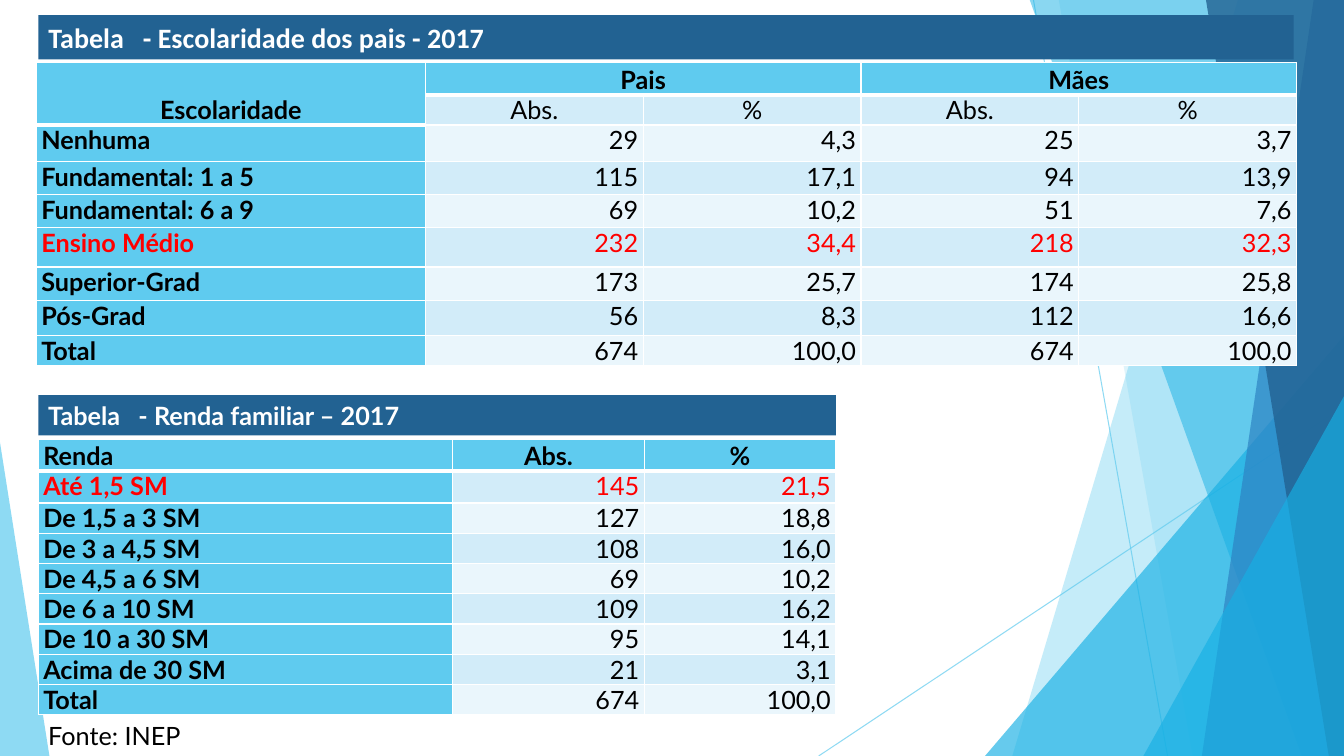
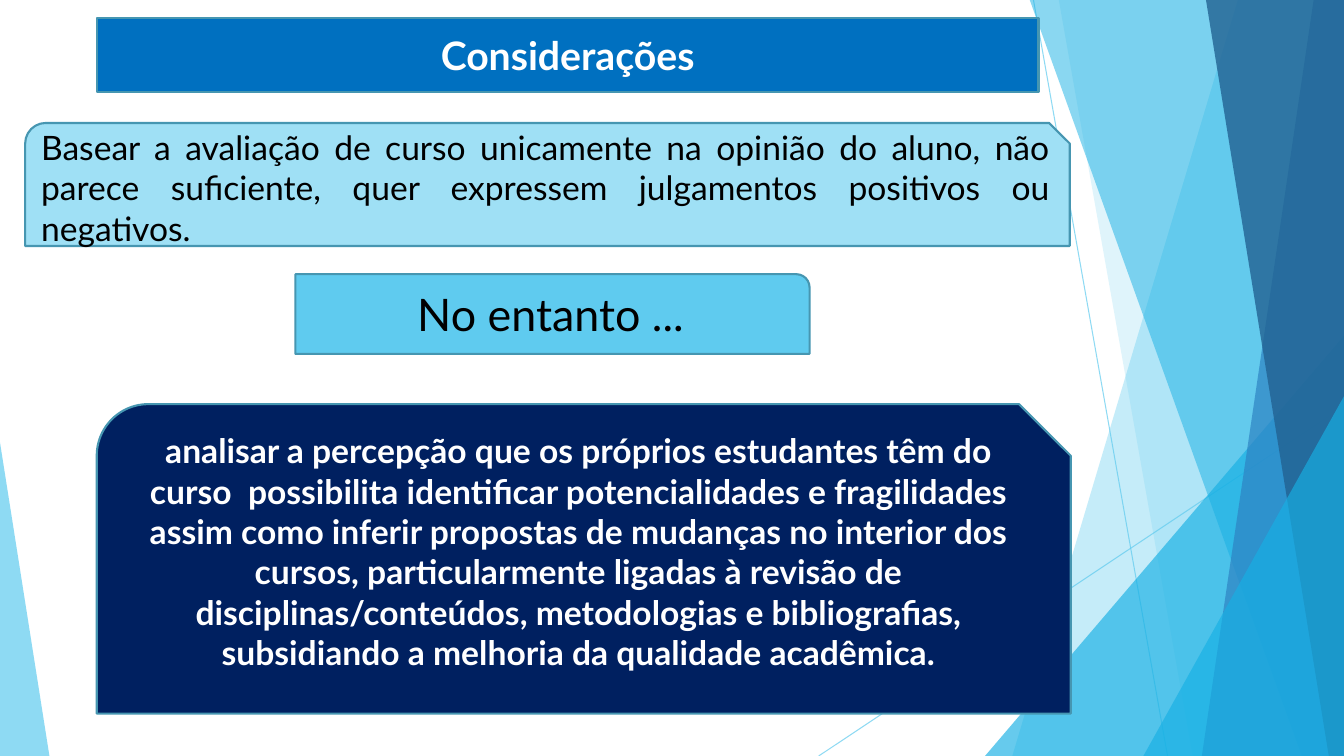
from dataclasses import dataclass

from lxml.etree import SubElement
from pptx import Presentation
from pptx.dml.color import RGBColor
from pptx.enum.shapes import MSO_CONNECTOR, MSO_SHAPE
from pptx.enum.text import MSO_ANCHOR, MSO_AUTO_SIZE, PP_ALIGN
from pptx.oxml import parse_xml
from pptx.oxml.ns import nsdecls, qn
from pptx.util import Inches, Pt

WHITE = RGBColor(0xFF, 0xFF, 0xFF)
BLACK = RGBColor(0x00, 0x00, 0x00)
RED = RGBColor(0xFF, 0x00, 0x00)
SKY = RGBColor(0x5F, 0xCB, 0xEF)
PALE_SKY = RGBColor(0x9F, 0xE0, 0xF5)
CYAN = RGBColor(0x17, 0xB0, 0xE4)
BLUE = RGBColor(0x2E, 0x83, 0xC3)
STEEL = RGBColor(0x22, 0x62, 0x92)
ROYAL = RGBColor(0x00, 0x70, 0xC0)
NAVY = RGBColor(0x00, 0x20, 0x60)
OUTLINE = RGBColor(0x46, 0x96, 0xB1)
ODD_BAND = RGBColor(0xD2, 0xEC, 0xF9)
EVEN_BAND = RGBColor(0xEA, 0xF6, 0xFC)

WIDTH, HEIGHT = 13.33, 7.5
LEFT, CENTER, RIGHT, JUSTIFY = (
    PP_ALIGN.LEFT, PP_ALIGN.CENTER, PP_ALIGN.RIGHT, PP_ALIGN.JUSTIFY)


@dataclass(frozen=True)
class Ray:
    """Thin line across the backdrop."""
    x1: float
    y1: float
    x2: float
    y2: float


@dataclass(frozen=True)
class Panel:
    """Full-height facet that reaches the right edge."""
    top_x: float
    bottom_x: float
    color: RGBColor
    opacity: int


@dataclass(frozen=True)
class Wedge:
    """Right triangle standing on the bottom edge."""
    left: float
    top: float
    width: float
    apex: int
    color: RGBColor
    opacity: int


@dataclass(frozen=True)
class Style:
    """Look of a piece of text."""
    size: int = 18
    color: RGBColor = BLACK
    bold: bool = False
    align: PP_ALIGN = LEFT
    anchor: MSO_ANCHOR = MSO_ANCHOR.MIDDLE
    font: str = "Lato"


@dataclass(frozen=True)
class Box:
    """Filled block of text."""
    at: tuple[float, float, float, float]
    text: str
    style: Style
    fill: RGBColor | None = None
    outline: RGBColor | None = None
    outline_form: MSO_SHAPE = MSO_SHAPE.RECTANGLE
    bottom_inset: float = 0.05


@dataclass(frozen=True)
class Grid:
    """Table with banded rows and a bright label column."""
    left: float
    top: float
    columns: list[float]
    heights: list[float]
    rows: list[list[str]]
    highlight: str
    corner_align: PP_ALIGN
    header_rows: int = 1
    merges: tuple[tuple[int, int, int, int], ...] = ()


BACKDROP = [
    Ray(10.25, 0, 11.58, HEIGHT),
    Ray(WIDTH, 4.03, 8.12, HEIGHT),
    Panel(12.28, 10.04, SKY, 36),
    Panel(10.5, 11.83, SKY, 20),
    Wedge(9.77, 3.33, 3.56, 1, CYAN, 66),
    Panel(10.21, 12.91, CYAN, 50),
    Panel(13.03, 11.92, BLUE, 70),
    Panel(11.96, 13.18, STEEL, 80),
    Wedge(11.34, 3.93, 1.99, 1, CYAN, 66),
    Wedge(0, 4.39, 0.49, 0, SKY, 70),
]

SCHOOLING_TITLE = Box(
    (0.38, 0.15, 12.45, 0.44), "Tabela   - Escolaridade dos pais - 2017",
    Style(20, WHITE, True, font="Calibri"), STEEL)
SCHOOLING = Grid(
    0.36, 0.62, [3.86] + [2.16] * 4,
    [0.32, 0.27, 0.36, 0.33, 0.33, 0.39, 0.33, 0.35, 0.26],
    [
        ["Escolaridade", "Pais", "", "Mães", ""],
        ["", "Abs.", "%", "Abs.", "%"],
        ["Nenhuma", "29", "4,3", "25", "3,7"],
        ["Fundamental: 1 a 5", "115", "17,1", "94", "13,9"],
        ["Fundamental: 6 a 9", "69", "10,2", "51", "7,6"],
        ["Ensino Médio", "232", "34,4", "218", "32,3"],
        ["Superior-Grad", "173", "25,7", "174", "25,8"],
        ["Pós-Grad", "56", "8,3", "112", "16,6"],
        ["Total", "674", "100,0", "674", "100,0"],
    ],
    "Ensino Médio", CENTER, 2, ((0, 0, 1, 0), (0, 1, 0, 2), (0, 3, 0, 4)))

INCOME_TITLE = Box(
    (0.38, 3.92, 7.91, 0.4), "Tabela   - Renda familiar – 2017",
    Style(18, WHITE, True, anchor=MSO_ANCHOR.TOP), STEEL)
INCOME = Grid(
    0.38, 4.36, [4.11, 1.9, 1.9],
    [0.31, 0.32, 0.27, 0.27, 0.25, 0.24, 0.28, 0.27, 0.27],
    [
        ["Renda", "Abs.", "%"],
        ["Até 1,5 SM", "145", "21,5"],
        ["De 1,5 a 3 SM", "127", "18,8"],
        ["De 3 a 4,5 SM", "108", "16,0"],
        ["De 4,5 a 6 SM", "69", "10,2"],
        ["De 6 a 10 SM", "109", "16,2"],
        ["De 10 a 30 SM", "95", "14,1"],
        ["Acima de 30 SM", "21", "3,1"],
        ["Total", "674", "100,0"],
    ],
    "Até 1,5 SM", LEFT)
SOURCE = Box((0.38, 7.1, 2.09, 0.4), "Fonte: INEP",
             Style(anchor=MSO_ANCHOR.TOP))

REMARKS_TITLE = Box(
    (0.96, 0.18, 9.34, 0.73), "Considerações",
    Style(28, WHITE, True, CENTER), ROYAL, OUTLINE,
    MSO_SHAPE.ROUND_1_RECTANGLE)
REMARKS = [
    Box((0.25, 1.22, 10.36, 1.22),
        "Basear a avaliação de curso unicamente na opinião do aluno, não "
        "parece suficiente, quer expressem julgamentos positivos ou negativos.",
        Style(24, align=JUSTIFY), PALE_SKY, OUTLINE,
        MSO_SHAPE.SNIP_ROUND_RECTANGLE),
    Box((0.96, 4.01, 9.66, 3.07),
        "analisar a percepção que os próprios estudantes têm do curso  "
        "possibilita identificar potencialidades e fragilidades assim como "
        "inferir propostas de mudanças no interior dos cursos, "
        "particularmente ligadas à revisão de disciplinas/conteúdos, "
        "metodologias e bibliografias, subsidiando a melhoria da qualidade "
        "acadêmica.",
        Style(24, WHITE, True, CENTER), NAVY, OUTLINE,
        MSO_SHAPE.SNIP_ROUND_RECTANGLE, bottom_inset=0.35),
    Box((2.93, 2.72, 5.1, 0.79), "No entanto ...",
        Style(32, align=CENTER), SKY, OUTLINE, MSO_SHAPE.ROUND_1_RECTANGLE),
]


def apply(target, values: dict) -> None:
    """Set every attribute named in values."""
    for name, value in values.items():
        setattr(target, name, value)


def write(frame, text: str, style: Style) -> None:
    """Put one styled paragraph into a text frame."""
    paragraph = frame.paragraphs[0]
    paragraph.alignment = style.align
    run = paragraph.add_run()
    run.text = text
    apply(run.font, {"name": style.font, "size": Pt(style.size),
                     "bold": style.bold})
    run.font.color.rgb = style.color


def set_opacity(shape, opacity: int) -> None:
    """Make the colour of a shape or line see-through."""
    color = shape.element.spPr.find(".//" + qn("a:srgbClr"))
    SubElement(color, qn("a:alpha"), val=str(opacity * 1000))


def draw_ray(slide, ray: Ray):
    """Draw a backdrop line."""
    line = slide.shapes.add_connector(
        MSO_CONNECTOR.STRAIGHT,
        *map(Inches, (ray.x1, ray.y1, ray.x2, ray.y2)))
    line.line.color.rgb = SKY
    line.line.width = Pt(0.75)
    set_opacity(line, 70)
    SubElement(line.element.spPr, qn("a:effectLst"))
    return line


def draw_facet(slide, facet: Panel | Wedge):
    """Draw a translucent panel or wedge."""
    if isinstance(facet, Panel):
        corners = [(WIDTH, -0.01), (WIDTH, HEIGHT), (facet.bottom_x, HEIGHT)]
        outline = slide.shapes.build_freeform(
            Inches(facet.top_x), Inches(-0.01))
        outline.add_line_segments([(Inches(x), Inches(y)) for x, y in corners])
        shape = outline.convert_to_shape()
    else:
        shape = slide.shapes.add_shape(
            MSO_SHAPE.ISOSCELES_TRIANGLE, Inches(facet.left),
            Inches(facet.top), Inches(facet.width),
            Inches(HEIGHT - facet.top))
        shape.adjustments[0] = facet.apex
    shape.shadow.inherit = False
    shape.fill.solid()
    shape.fill.fore_color.rgb = facet.color
    shape.line.fill.background()
    set_opacity(shape, facet.opacity)
    return shape


def move_backdrop_to_master(slide, master) -> None:
    """Draw the backdrop and place it behind everything on the master."""
    tree = master.shapes.element
    for order, part in enumerate(BACKDROP):
        draw = draw_ray if isinstance(part, Ray) else draw_facet
        element = draw(slide, part).element
        element.find(".//" + qn("p:cNvPr")).set("id", str(100 + order))
        tree.insert(2 + order, element)


def format_box(shape, box: Box) -> None:
    """Fill, outline and write a block."""
    if box.fill is not None:
        shape.fill.solid()
        shape.fill.fore_color.rgb = box.fill
    if box.outline is None:
        shape.line.fill.background()
    else:
        shape.line.color.rgb = box.outline
        shape.line.width = Pt(1.5)
    apply(shape.text_frame, {
        "word_wrap": True, "auto_size": MSO_AUTO_SIZE.NONE,
        "vertical_anchor": box.style.anchor,
        "margin_bottom": Inches(box.bottom_inset)})
    write(shape.text_frame, box.text, box.style)


def draw_box(slide, box: Box) -> None:
    """Add a block, or a plain text box when it has no fill."""
    place = map(Inches, box.at)
    if box.fill is None:
        shape = slide.shapes.add_textbox(*place)
    else:
        shape = slide.shapes.add_shape(box.outline_form, *place)
        shape.shadow.inherit = False
    format_box(shape, box)


def set_title(slide, box: Box) -> None:
    """Turn the title placeholder into the slide's heading band."""
    title = slide.shapes.title
    apply(title, dict(zip(("left", "top", "width", "height"),
                          map(Inches, box.at))))
    title.element.spPr.insert(1, parse_xml(
        f'<a:prstGeom {nsdecls("a")} prst="{box.outline_form.xml_value}">'
        '<a:avLst/></a:prstGeom>'))
    format_box(title, box)


def set_borders(cell, bottom: int) -> None:
    """Give a cell white borders, the lower one of the given width."""
    properties = cell._tc.get_or_add_tcPr()
    for order, side in enumerate("LRTB"):
        width = Pt(bottom if side == "B" else 1)
        properties.insert(order, parse_xml(
            f'<a:ln{side} {nsdecls("a")} w="{width}"><a:solidFill>'
            f'<a:srgbClr val="{WHITE}"/></a:solidFill></a:ln{side}>'))


def draw_grid(slide, grid: Grid) -> None:
    """Add a table with its bands, borders and merged headings."""
    table = slide.shapes.add_table(
        len(grid.rows), len(grid.columns), Inches(grid.left),
        Inches(grid.top), Inches(sum(grid.columns)),
        Inches(sum(grid.heights))).table
    apply(table, {"first_row": False, "horz_banding": False})
    for column, width in zip(table.columns, grid.columns):
        column.width = Inches(width)
    for row, height in zip(table.rows, grid.heights):
        row.height = Inches(height)
    for r, values in enumerate(grid.rows):
        for c, text in enumerate(values):
            cell = table.cell(r, c)
            header, bright = r < grid.header_rows, r == 0 or c == 0
            apply(cell, {
                "margin_left": Inches(0.05), "margin_right": Inches(0.05),
                "margin_top": 0, "margin_bottom": 0,
                "vertical_anchor":
                    MSO_ANCHOR.BOTTOM if header else MSO_ANCHOR.TOP})
            cell.fill.solid()
            band = ODD_BAND if r % 2 else EVEN_BAND
            cell.fill.fore_color.rgb = SKY if bright else band
            set_borders(cell, 3 if header and bright else 1)
            if text:
                color = RED if values[0] == grid.highlight else BLACK
                align = CENTER if header else RIGHT
                if c == 0:
                    align = grid.corner_align if header else LEFT
                write(cell.text_frame, text, Style(18, color, bright, align))
    for top, left, bottom, right in grid.merges:
        table.cell(top, left).merge(table.cell(bottom, right))


def main() -> None:
    """Build and save both slides."""
    deck = Presentation()
    deck.slide_width, deck.slide_height = Inches(WIDTH), Inches(HEIGHT)
    title_only = deck.slide_layouts[5]
    tables = deck.slides.add_slide(title_only)
    move_backdrop_to_master(tables, deck.slide_master)
    set_title(tables, SCHOOLING_TITLE)
    draw_grid(tables, SCHOOLING)
    draw_box(tables, INCOME_TITLE)
    draw_grid(tables, INCOME)
    draw_box(tables, SOURCE)

    remarks = deck.slides.add_slide(title_only)
    set_title(remarks, REMARKS_TITLE)
    for remark in REMARKS:
        draw_box(remarks, remark)
    deck.save("out.pptx")


main()
